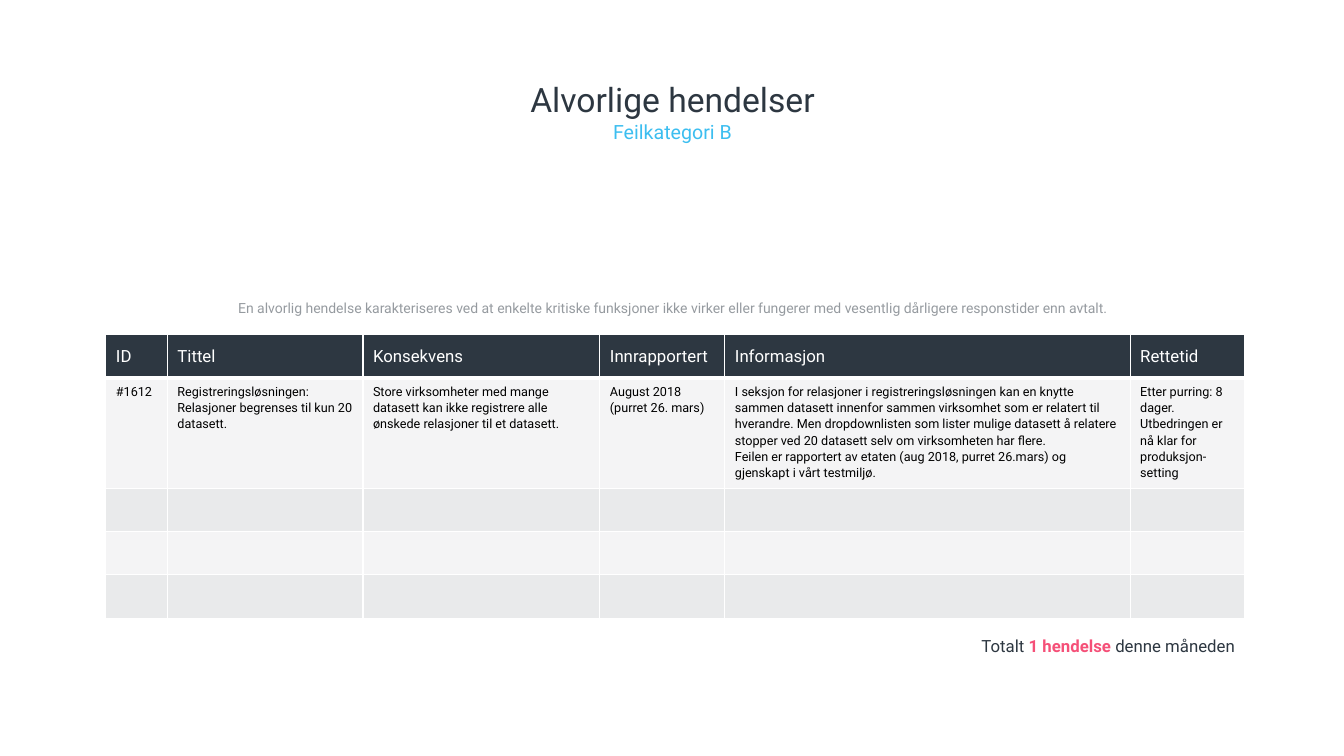
from dataclasses import dataclass

from lxml.etree import SubElement
from pptx import Presentation
from pptx.dml.color import RGBColor
from pptx.enum.text import MSO_ANCHOR as Anchor, PP_ALIGN as Align
from pptx.oxml.ns import qn
from pptx.util import Inches, Pt

FONT = "Roboto"
COLORS = {
    "navy": "2D3741",
    "blue": "3CBEF0",
    "pink": "F55078",
    "white": "FFFFFF",
    "black": "000000",
}


@dataclass
class Label:
    text: str
    left: float
    top: float
    width: float
    height: float
    size: float
    color: str
    line_spacing: float = 0.9
    inset_top: float = 0
    opacity: int = 100


@dataclass
class Column:
    heading: str
    width: float
    incident: str


LABELS = [
    Label("En alvorlig hendelse karakteriseres ved at enkelte kritiske funksjoner ikke "
          "virker eller fungerer med vesentlig dårligere responstider enn avtalt.",
          1.67, 2.95, 10, 0.31, 10, "navy", line_spacing=1.14, opacity=50),
    Label("Alvorlige hendelser", 0.98, 0.83, 11.38, 0.35, 24, "navy"),
    Label("Feilkategori B", 0.98, 1.18, 11.38, 0.28, 14, "blue", inset_top=0.04),
]

COLUMNS = [
    Column("ID", 0.61, "#1612"),
    Column("Tittel", 1.94,
           "Registreringsløsningen: Relasjoner begrenses til kun 20 datasett."),
    Column("Konsekvens", 2.35,
           "Store virksomheter med mange datasett kan ikke registrere alle "
           "ønskede relasjoner til et datasett."),
    Column("Innrapportert", 1.24, "August 2018\v(purret 26. mars)"),
    Column("Informasjon", 4.02,
           "I seksjon for relasjoner i registreringsløsningen kan en knytte sammen "
           "datasett innenfor sammen virksomhet som er relatert til hverandre. Men "
           "dropdownlisten som lister mulige datasett å relatere stopper ved 20 "
           "datasett selv om virksomheten har flere.\n"
           "Feilen er rapportert av etaten (aug 2018, purret 26.mars) og gjenskapt "
           "i vårt testmiljø."),
    Column("Rettetid", 1.14,
           "Etter purring: 8 dager. Utbedringen er nå klar for produksjon-setting"),
]
ROW_COUNT = 6
ROW_HEIGHT = 0.43
TOTAL_PARTS = [("Totalt ", "navy", False), ("1 hendelse", "pink", True),
               (" denne måneden", "navy", False)]


def set_solid(fill, color: str, opacity: int = 100) -> None:
    fill.solid()
    fill.fore_color.rgb = RGBColor.from_string(COLORS[color])
    if opacity < 100:
        for tint in fill._xPr.iter(qn("a:srgbClr")):
            if tint.getparent().getparent() is fill._xPr:
                SubElement(tint, qn("a:alpha"), val=str(opacity * 1000))


def format_run(run, size: float, color: str, bold: bool = False, opacity: int = 100) -> None:
    run.font.name = FONT
    run.font.size = Pt(size)
    run.font.bold = bold
    set_solid(run.font.fill, color, opacity)


def format_text(text_frame, size: float, color: str, line_spacing: float = 1,
                align=Align.LEFT, opacity: int = 100) -> None:
    for paragraph in text_frame.paragraphs:
        paragraph.alignment = align
        paragraph.line_spacing = line_spacing
        for run in paragraph.runs:
            format_run(run, size, color, opacity=opacity)


def add_label(slide, label: Label) -> None:
    shape = slide.shapes.add_textbox(Inches(label.left), Inches(label.top),
                                     Inches(label.width), Inches(label.height))
    text_frame = shape.text_frame
    text_frame.word_wrap = True
    text_frame.margin_left = text_frame.margin_right = text_frame.margin_bottom = 0
    text_frame.margin_top = Inches(label.inset_top)
    text_frame.text = label.text
    format_text(text_frame, label.size, label.color, label.line_spacing,
                Align.CENTER, label.opacity)


def add_borders(cell, top: float = 1, bottom: float = 1) -> None:
    properties = cell._tc.get_or_add_tcPr()
    for side, width in (("L", 1), ("R", 1), ("T", top), ("B", bottom)):
        line = SubElement(properties, qn(f"a:ln{side}"), w=str(Pt(width)))
        solid = SubElement(line, qn("a:solidFill"))
        SubElement(solid, qn("a:srgbClr"), val=COLORS["white"])


def add_incident_table(slide) -> None:
    width = sum(column.width for column in COLUMNS)
    table = slide.shapes.add_table(ROW_COUNT, len(COLUMNS), Inches(1.05), Inches(3.32),
                                   Inches(width), Inches(ROW_COUNT * ROW_HEIGHT)).table
    table.horz_banding = False
    for row in table.rows:
        row.height = Inches(ROW_HEIGHT)

    # Header, incident and banded empty rows
    for index, column in enumerate(COLUMNS):
        table.columns[index].width = Inches(column.width)
        for row in range(ROW_COUNT):
            cell = table.cell(row, index)
            add_borders(cell, top=3 if row == 1 else 1, bottom=3 if row == 0 else 1)
            if row == 0:
                set_solid(cell.fill, "navy")
            elif row < ROW_COUNT - 1:
                set_solid(cell.fill, "navy", 5 if row % 2 else 10)
            else:
                set_solid(cell.fill, "white")
        header, incident = table.cell(0, index), table.cell(1, index)
        header.vertical_anchor = Anchor.MIDDLE
        header.text_frame.text = column.heading
        format_text(header.text_frame, 12, "white")
        incident.text_frame.text = column.incident
        format_text(incident.text_frame, 9, "black", 1.1)

    # Total across the last row
    total = table.cell(ROW_COUNT - 1, 0)
    total.merge(table.cell(ROW_COUNT - 1, len(COLUMNS) - 1))
    total.vertical_anchor = Anchor.BOTTOM
    paragraph = total.text_frame.paragraphs[0]
    paragraph.alignment = Align.RIGHT
    for text, color, bold in TOTAL_PARTS:
        run = paragraph.add_run()
        run.text = text
        format_run(run, 12, color, bold)


def main() -> None:
    presentation = Presentation()
    presentation.slide_width = Inches(13.33)
    presentation.slide_height = Inches(7.5)
    slide = presentation.slides.add_slide(presentation.slide_layouts[6])
    for label in LABELS:
        add_label(slide, label)
    add_incident_table(slide)
    presentation.save("out.pptx")


if __name__ == "__main__":
    main()
